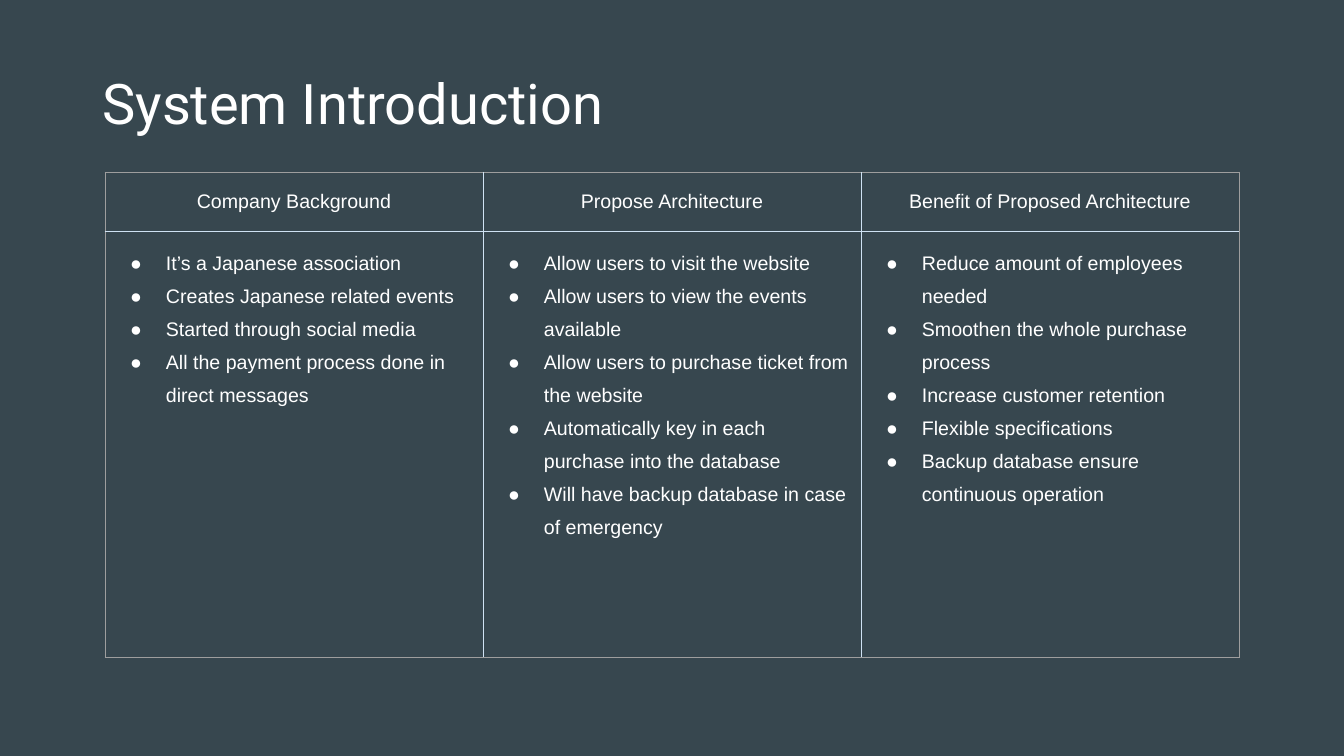
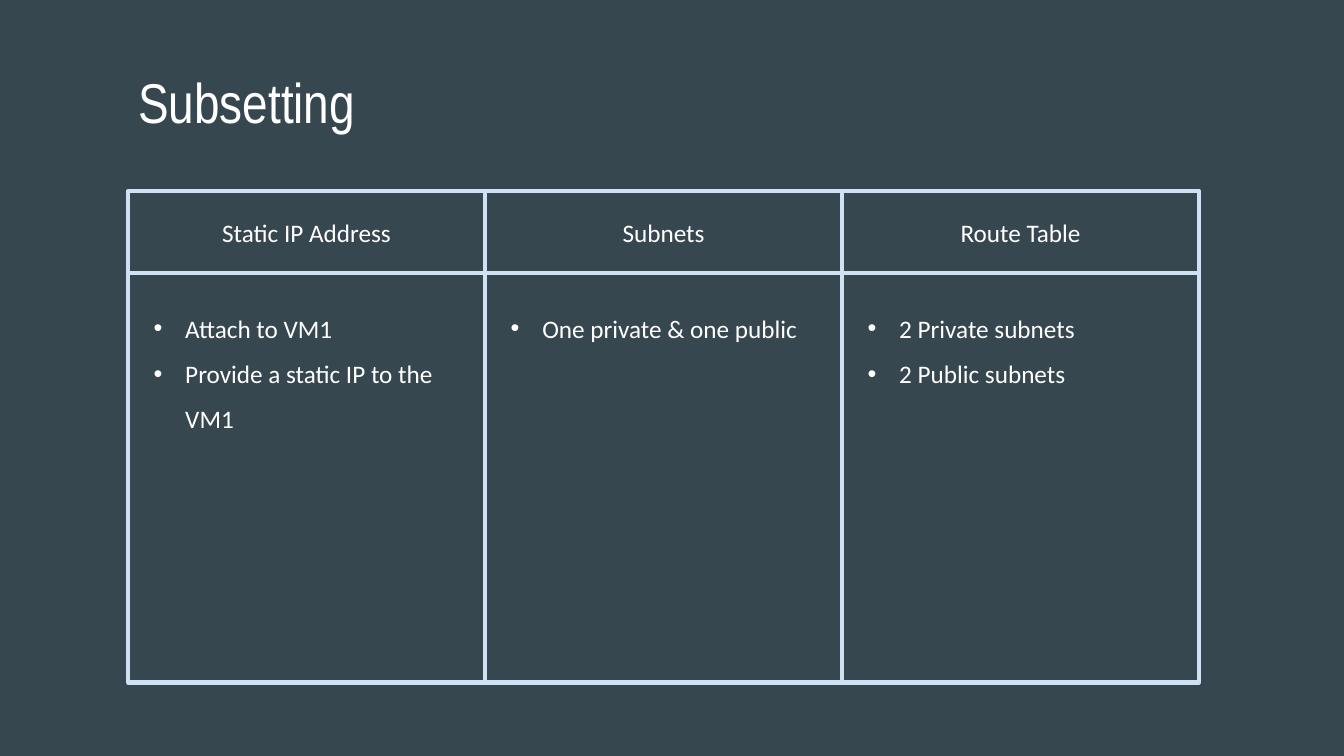
from dataclasses import dataclass

import lxml.etree
import pptx
import pptx.dml.color
import pptx.enum.shapes
import pptx.enum.text
import pptx.oxml.ns
import pptx.presentation
import pptx.shapes.autoshape
import pptx.slide
import pptx.table
import pptx.text.text
import pptx.util

EMU_PER_PX = 9525


@dataclass(frozen=True)
class TypeStyle:
    font: str
    size: int


@dataclass(frozen=True)
class BulletStyle:
    symbol: str
    indent: int
    hanging: int
    type_style: TypeStyle


@dataclass(frozen=True)
class Theme:
    background: str = "37474F"
    text: str = "FFFFFF"
    rule: str = "CFE2F3"
    frame: str = "9E9E9E"
    bullet_font: str = "Arial"
    intro_title: TypeStyle = TypeStyle("Roboto", 40)
    subset_title: TypeStyle = TypeStyle("Arial Narrow", 40)
    table_text: TypeStyle = TypeStyle("Arial", 14)
    card_text: TypeStyle = TypeStyle("Calibri", 18)
    table_border: float = 0.75
    card_border: float = 3
    divider: float = 2.25


@dataclass(frozen=True)
class Topic:
    heading: str
    points: tuple[str, ...]


THEME = Theme()
TABLE_BULLET = BulletStyle("●", 48, 34, THEME.table_text)
CARD_BULLET = BulletStyle("•", 30, 30, THEME.card_text)

INTRODUCTION = (
    Topic("Company Background", (
        "It’s a Japanese association",
        "Creates Japanese related events",
        "Started through social media",
        "All the payment process done in direct messages",
    )),
    Topic("Propose Architecture", (
        "Allow users to visit the website",
        "Allow users to view the events available",
        "Allow users to purchase ticket from the website",
        "Automatically key in each purchase into the database",
        "Will have backup database in case of emergency",
    )),
    Topic("Benefit of Proposed Architecture", (
        "Reduce amount of employees needed",
        "Smoothen the whole purchase process",
        "Increase customer retention",
        "Flexible specifications",
        "Backup database ensure continuous operation",
    )),
)

SUBSETTING = (
    Topic("Static IP Address", ("Attach to VM1", "Provide a static IP to the VM1")),
    Topic("Subnets", ("One private & one public",)),
    Topic("Route Table", ("2 Private subnets", "2 Public subnets")),
)


def px(length: int) -> pptx.util.Emu:
    return pptx.util.Emu(length * EMU_PER_PX)


def color(value: str) -> pptx.dml.color.RGBColor:
    return pptx.dml.color.RGBColor.from_string(value)


def add_element(
    parent: lxml.etree._Element, tag: str, **attributes: str
) -> lxml.etree._Element:
    return lxml.etree.SubElement(parent, pptx.oxml.ns.qn(tag), attributes)


def add_span(para: pptx.text.text._Paragraph, text: str, style: TypeStyle) -> None:
    span = para.add_run()
    span.text = text
    span.font.name = style.font
    span.font.size = pptx.util.Pt(style.size)
    span.font.color.rgb = color(THEME.text)


def add_heading(frame: pptx.text.text.TextFrame, text: str, style: TypeStyle) -> None:
    para = frame.paragraphs[0]
    para.alignment = pptx.enum.text.PP_ALIGN.CENTER
    add_span(para, text, style)


def add_points(
    frame: pptx.text.text.TextFrame, points: tuple[str, ...], style: BulletStyle
) -> None:
    for index, point in enumerate(points):
        para = frame.add_paragraph() if index else frame.paragraphs[0]
        para.alignment = pptx.enum.text.PP_ALIGN.LEFT
        para.line_spacing = 1.5
        properties = para._p.get_or_add_pPr()
        properties.set("marL", str(px(style.indent)))
        properties.set("indent", str(px(-style.hanging)))
        bullet_color = add_element(properties, "a:buClr")
        add_element(bullet_color, "a:srgbClr", val=THEME.text)
        add_element(properties, "a:buFont", typeface=THEME.bullet_font)
        add_element(properties, "a:buChar", char=style.symbol)
        add_span(para, point, style.type_style)


def add_titled_page(
    deck: pptx.presentation.Presentation,
    text: str,
    style: TypeStyle,
    left: int,
    top: int,
) -> pptx.slide.Slide:
    page = deck.slides.add_slide(deck.slide_layouts.get_by_name("Title Only"))
    title = page.shapes.title
    title.left, title.top, title.width, title.height = map(px, (left, top, 519, 126))
    frame = title.text_frame
    frame.word_wrap = True
    frame.auto_size = pptx.enum.text.MSO_AUTO_SIZE.NONE
    frame.vertical_anchor = pptx.enum.text.MSO_ANCHOR.MIDDLE
    para = frame.paragraphs[0]
    para.alignment = pptx.enum.text.PP_ALIGN.LEFT
    para.line_spacing = 0.9
    add_span(para, text, style)
    return page


def format_cell(cell: pptx.table._Cell, outer_sides: dict[str, bool]) -> None:
    cell.margin_left = cell.margin_right = px(10)
    cell.margin_top = cell.margin_bottom = px(10)
    properties = cell._tc.get_or_add_tcPr()
    for side, is_outer in outer_sides.items():
        width = str(pptx.util.Pt(THEME.table_border))
        border = add_element(properties, f"a:ln{side}", w=width)
        fill = add_element(border, "a:solidFill")
        add_element(fill, "a:srgbClr", val=THEME.frame if is_outer else THEME.rule)
    cell.fill.background()


def add_topic_table(page: pptx.slide.Slide, topics: tuple[Topic, ...]) -> None:
    column_width = 360
    row_heights = (56, 406)
    table = page.shapes.add_table(
        len(row_heights), len(topics), px(100), px(164),
        px(column_width * len(topics)), px(sum(row_heights)),
    ).table
    table.first_row = table.horz_banding = False
    for row, height in zip(table.rows, row_heights):
        row.height = px(height)
    for index, topic in enumerate(topics):
        table.columns[index].width = px(column_width)
        heading, body = table.cell(0, index), table.cell(1, index)
        for cell in (heading, body):
            format_cell(cell, {
                "L": index == 0,
                "R": index == len(topics) - 1,
                "T": cell is heading,
                "B": cell is body,
            })
        heading.vertical_anchor = pptx.enum.text.MSO_ANCHOR.MIDDLE
        add_heading(heading.text_frame, topic.heading, THEME.table_text)
        add_points(body.text_frame, topic.points, TABLE_BULLET)


def add_text_box(
    page: pptx.slide.Slide, left: int, top: int, width: int, height: int
) -> pptx.text.text.TextFrame:
    box = page.shapes.add_textbox(px(left), px(top), px(width), px(height))
    box.text_frame.word_wrap = True
    return box.text_frame


def add_topic_cards(page: pptx.slide.Slide, topics: tuple[Topic, ...]) -> None:
    first_left, top, width, height = 122, 182, 340, 468
    inset = 15
    for index, topic in enumerate(topics):
        left = first_left + index * width
        card = page.shapes.add_shape(
            pptx.enum.shapes.MSO_SHAPE.RECTANGLE,
            px(left), px(top), px(width), px(height),
        )
        card.shadow.inherit = False
        card.fill.background()
        card.line.color.rgb = color(THEME.rule)
        card.line.width = pptx.util.Pt(THEME.card_border)
        heading = add_text_box(page, left, top + 20, width, 38)
        add_heading(heading, topic.heading, THEME.card_text)
        body = add_text_box(page, left + inset, top + 97, width - 2 * inset, 170)
        add_points(body, topic.points, CARD_BULLET)
    divider_top = top + 78
    divider = page.shapes.add_connector(
        pptx.enum.shapes.MSO_CONNECTOR.STRAIGHT,
        px(first_left), px(divider_top),
        px(first_left + width * len(topics)), px(divider_top),
    )
    divider.line.color.rgb = color(THEME.rule)
    divider.line.width = pptx.util.Pt(THEME.divider)
    add_element(divider._element.spPr, "a:effectLst")


def main() -> None:
    deck = pptx.Presentation()
    deck.slide_width, deck.slide_height = px(1280), px(720)
    background = deck.slide_master.background.fill
    background.solid()
    background.fore_color.rgb = color(THEME.background)

    introduction = add_titled_page(
        deck, "System Introduction", THEME.intro_title, 88, 38
    )
    add_topic_table(introduction, INTRODUCTION)

    subsetting = add_titled_page(deck, "Subsetting", THEME.subset_title, 122, 37)
    add_topic_cards(subsetting, SUBSETTING)

    deck.save("out.pptx")


if __name__ == "__main__":
    main()
